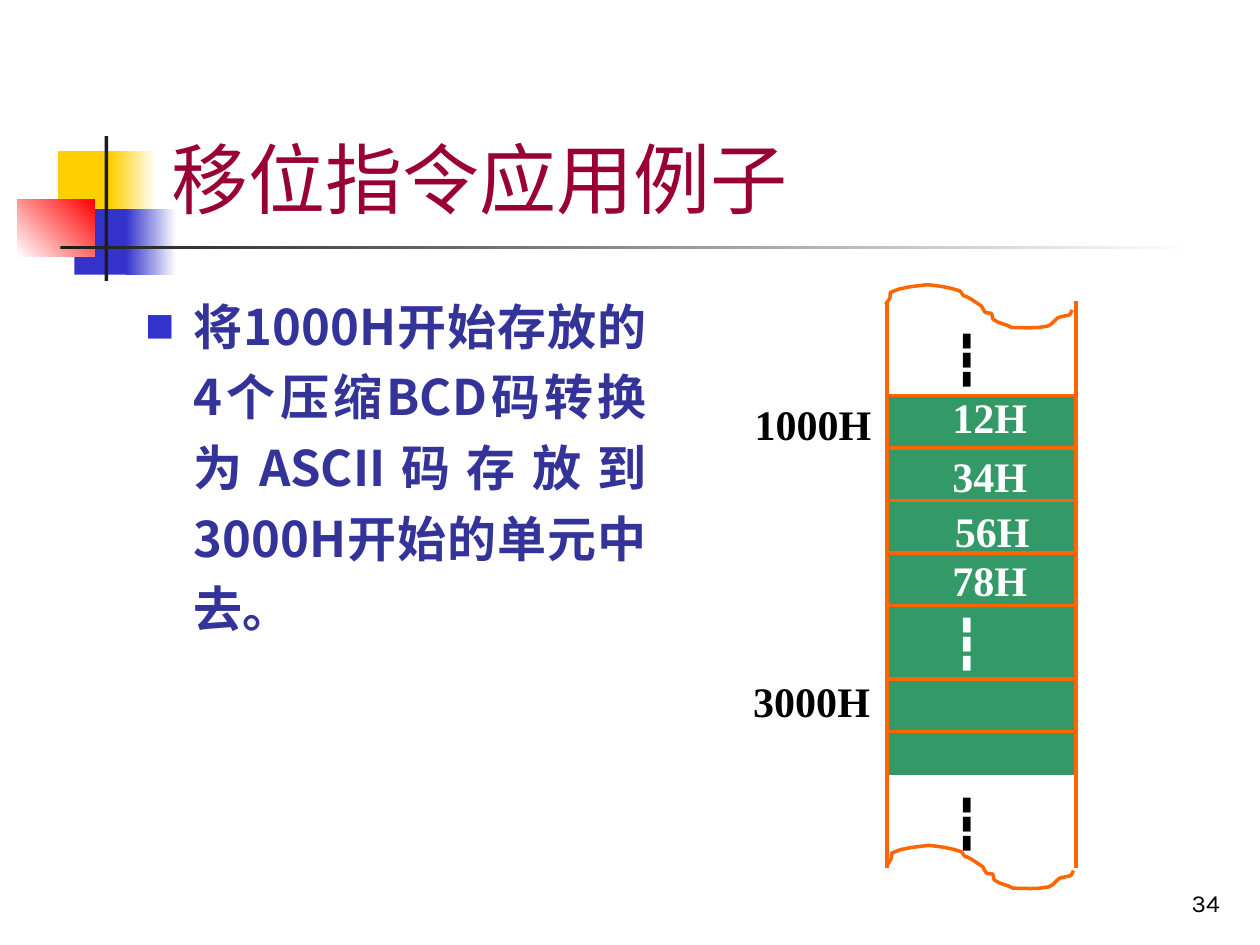
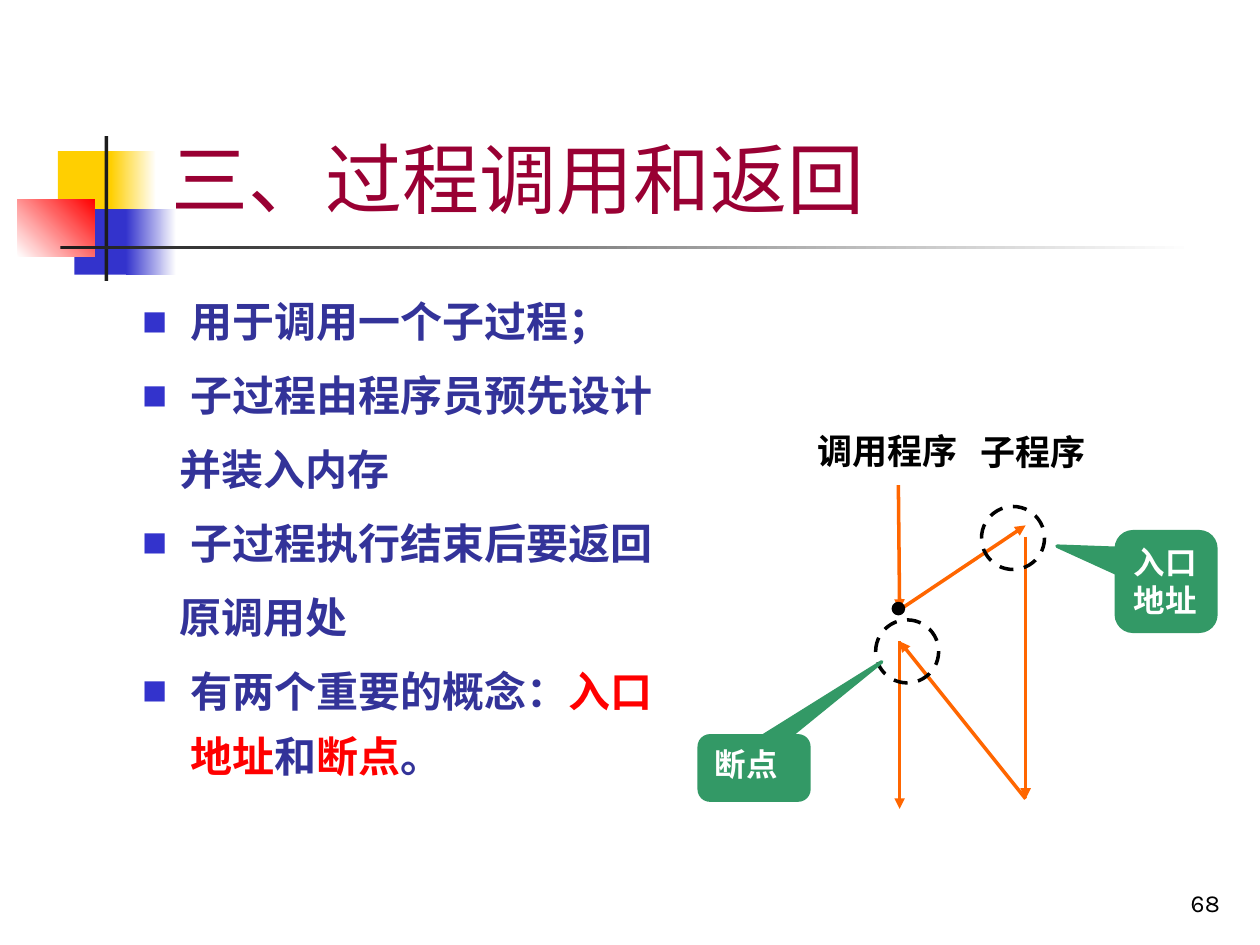
from lxml.etree import SubElement
from pptx import Presentation
from pptx.dml.color import RGBColor
from pptx.enum.dml import MSO_LINE
from pptx.enum.shapes import MSO_CONNECTOR, MSO_SHAPE
from pptx.enum.text import MSO_ANCHOR, PP_ALIGN
from pptx.oxml.ns import qn
from pptx.util import Inches, Pt

C = {"yellow": "FFCF01", "blue": "3333CC", "red": "FF0000", "dark": "1C1C1C",
     "title": "990033", "body": "333399", "green": "339966", "orange": "FF6600",
     "black": "000000", "white": "FFFFFF"}
CJK = "Noto Sans CJK SC"

BANDS = [
    ((0.46, 1.2, 0.48, 0.52), "yellow", None, 0),
    ((0.88, 1.2, 0.36, 0.52), "yellow", "white", 0),
    ((0.59, 1.66, 0.46, 0.52), "blue", None, 0),
    ((1, 1.66, 0.4, 0.52), "blue", "white", 0),
    ((0.14, 1.58, 0.61, 0.46), "white", "red", 45),
    ((0.83, 1.08, 0.03, 1.15), "dark", None, 0),
    ((0.48, 1.95, 9, 0.03), "dark", "white", 0),
]

TITLE = {"size": 44, "name": "Karla", "color": "title"}
NUMBER = {"size": 14, "name": "Karla", "color": "black"}
TASK = {"size": 28, "name": CJK, "color": "body", "bold": True}
POINT = {"size": 24, "name": "Karla", "color": "body", "bold": True}
CELL = {"size": 24, "name": "Times New Roman", "color": "white", "bold": True}
DOTS = {**CELL, "size": 28}
NOTE = {**CELL, "size": 18}
LABEL = {"size": 20, "name": "Arial", "color": "black", "bold": True}

TASK_TEXT = "将1000H开始存放的4个压缩BCD码转换为ASCII码存放到3000H开始的单元中去。"
POINTS = [
    (True, [("用于调用一个子过程；", "body")]),
    (True, [("子过程由程序员预先设计", "body")]),
    (False, [("并装入内存", "body")]),
    (True, [("子过程执行结束后要返回", "body")]),
    (False, [("原调用处", "body")]),
    (True, [("有两个重要的概念：", "body"), ("入口地址", "red"), ("和", "body"),
            ("断点", "red"), ("。", "body")]),
]

LEFT, RIGHT, TOP, BOTTOM = 7.04, 8.54, 2.39, 6.89
FIRST, STEP, TARGET = 3.14, 5 / 12, 5.39
BYTES = [("12H", 7.46, 3.06), ("34H", 7.46, 3.53), ("56H", 7.48, 3.96), ("78H", 7.46, 4.35)]
ADDRESSES = [("1000H", 5.89, 3.11), ("3000H", 5.88, 5.31)]
ELLIPSES = [(2.56, "black"), (4.81, "white"), (6.24, "black")]
TEARS = [(7.03, 2.26), (7.04, 6.71)]
TEAR_START = (0, 16)
TEAR_CURVES = [
    (1, 14, 2, 13, 3, 11), (4, 10, 3, 7, 4, 6), (11, 2, 25, 1, 33, 0),
    (43, 1, 50, 2, 59, 5), (65, 13, 59, 6, 67, 11), (70, 13, 76, 17, 76, 17),
    (77, 19, 78, 21, 79, 22), (81, 23, 83, 22, 84, 23), (85, 25, 84, 27, 86, 28),
    (90, 31, 95, 31, 100, 34), (109, 34, 119, 35, 128, 33),
    (132, 32, 134, 28, 137, 26), (148, 23, 145, 26, 148, 20),
]

HEADS = [("调用程序", (6.39, 3.36, 1.5, 0.43)), ("子程序", (7.68, 3.37, 1.26, 0.43))]
CALL, ENTRY, BREAK, RETURN = (7.14, 4.84), (8.14, 4.17), (7.14, 5.09), (8.14, 6.34)
FLOW = [((7.13, 3.85), CALL), (CALL, ENTRY), ((8.14, 4.26), RETURN),
        (RETURN, BREAK), (BREAK, (7.14, 6.42))]
RINGS = [(6.95, 4.92), (7.79, 4.02)]
CALLOUTS = [
    ("断点", (5.55, 5.84, 0.87, 0.51), (1.165, -1.653, 0.167)),
    ("入口地址", (8.86, 4.22, 0.79, 0.79), (-1.096, -0.355, 0.167)),
]


def rgb(name):
    return RGBColor.from_string(C[name])


def box(at):
    return [Inches(v) for v in at]


def add_run(p, text, style):
    r = p.add_run()
    r.text = text
    for key, value in style.items():
        if key == "color":
            r.font.color.rgb = rgb(value)
        else:
            setattr(r.font, key, Pt(value) if key == "size" else value)
    SubElement(r.font._element, qn("a:ea"), typeface=CJK)


def space(p, **percents):
    pPr = p._p.get_or_add_pPr()
    for tag, value in percents.items():
        SubElement(SubElement(pPr, qn(f"a:{tag}")), qn("a:spcPct"), val=str(value * 1000))


def list_format(p, bullet, **percents):
    pPr = p._p.get_or_add_pPr()
    margin, indent = (0.38, -0.38) if bullet else (0.3, 0)
    pPr.set("marL", str(Inches(margin)))
    pPr.set("indent", str(Inches(indent)))
    space(p, **percents)
    if bullet:
        SubElement(SubElement(pPr, qn("a:buClr")), qn("a:srgbClr"), val=C["blue"])
        SubElement(pPr, qn("a:buSzPct"), val="60000")
        SubElement(pPr, qn("a:buFont"), typeface=CJK)
        SubElement(pPr, qn("a:buChar"), char="■")


def add_frame(s, at, anchor=MSO_ANCHOR.TOP):
    tf = s.shapes.add_textbox(*box(at)).text_frame
    tf.word_wrap, tf.vertical_anchor = True, anchor
    return tf


def add_text(s, at, text, style, anchor=MSO_ANCHOR.TOP, align=PP_ALIGN.LEFT, before=0):
    p = add_frame(s, at, anchor).paragraphs[0]
    p.alignment = align
    if before:
        space(p, spcBef=before)
    add_run(p, text, style)


def paint(sp, fill=None, line=None):
    sp.shadow.inherit = False
    if fill:
        sp.fill.solid()
        sp.fill.fore_color.rgb = rgb(fill)
    else:
        sp.fill.background()
    if line:
        sp.line.color.rgb, sp.line.width = rgb(line), Pt(2)
    else:
        sp.line.fill.background()


def add_shape(s, kind, at, fill=None, line=None):
    sp = s.shapes.add_shape(kind, *box(at))
    paint(sp, fill, line)
    return sp


def add_line(s, start, end, arrow=False):
    line = s.shapes.add_connector(MSO_CONNECTOR.STRAIGHT, *box(start + end))
    line.line.color.rgb, line.line.width = rgb("orange"), Pt(2)
    if arrow:
        SubElement(line.line._get_or_add_ln(), qn("a:tailEnd"), type="triangle")
    SubElement(line._element.spPr, qn("a:effectLst"))


def add_tear(s, left, top):
    points, here = [], TEAR_START
    for curve in TEAR_CURVES:
        knots = [here, curve[:2], curve[2:4], curve[4:]]
        for t in (0.25, 0.5, 0.75, 1):
            weights = ((1 - t) ** 3, 3 * t * (1 - t) ** 2, 3 * t * t * (1 - t), t ** 3)
            points.append([sum(w * k[i] for w, k in zip(weights, knots)) for i in (0, 1)])
        here = curve[4:]

    def place(x, y):
        return Inches(left + x / 100), Inches(top + y / 100)

    builder = s.shapes.build_freeform(*place(*TEAR_START))
    builder.add_line_segments([place(*point) for point in points], close=False)
    paint(builder.convert_to_shape(), line="orange")


def new_slide(prs, title, number):
    s = prs.slides.add_slide(prs.slide_layouts[6])
    for at, color, end, angle in BANDS:
        sp = add_shape(s, MSO_SHAPE.RECTANGLE, at, color)
        if end:
            sp.fill.gradient()
            sp.fill.gradient_angle = angle
            for stop, name in zip(sp.fill.gradient_stops, (color, end)):
                stop.color.rgb = rgb(name)
    add_text(s, (7.7, 6.83, 2.08, 0.5), number, NUMBER, MSO_ANCHOR.BOTTOM, PP_ALIGN.RIGHT)
    add_text(s, (1.26, 0.23, 8.52, 1.6), title, TITLE, MSO_ANCHOR.BOTTOM)
    return s


def memory_slide(prs):
    s = new_slide(prs, "移位指令应用例子", "34")
    p = add_frame(s, (1.06, 2.21, 4.17, 4.54)).paragraphs[0]
    p.alignment = PP_ALIGN.JUSTIFY
    list_format(p, True, lnSpc=120, spcBef=15, spcAft=20)
    add_run(p, TASK_TEXT, TASK)
    add_shape(s, MSO_SHAPE.RECTANGLE, (LEFT, FIRST, RIGHT - LEFT, 3), "green", "green")
    for x in (LEFT, RIGHT):
        add_line(s, (x, TOP), (x, BOTTOM))
    for y in [FIRST + STEP * i for i in range(5)] + [TARGET, TARGET + STEP]:
        add_line(s, (LEFT, y), (RIGHT, y))
    for left, top in TEARS:
        add_tear(s, left, top)
    for top, color in ELLIPSES:
        add_text(s, (7.46, top, 0.75, 0.57), "┇", {**DOTS, "color": color}, before=30)
    for text, left, top in BYTES:
        add_text(s, (left, top, 0.83, 0.5), text, CELL, before=50)
    for text, left, top in ADDRESSES:
        add_text(s, (left, top, 1.33, 0.5), text, {**CELL, "color": "black"}, before=50)


def call_slide(prs):
    s = new_slide(prs, "三、过程调用和返回", "68")
    tf = add_frame(s, (1.03, 2.18, 4.49, 4.25))
    for i, (bullet, runs) in enumerate(POINTS):
        p = tf.add_paragraph() if i else tf.paragraphs[0]
        list_format(p, bullet, lnSpc=130, spcBef=15, spcAft=5)
        for text, color in runs:
            add_run(p, text, {**POINT, "color": color})
    for text, at in HEADS:
        add_text(s, at, text, LABEL)
    for start, end in FLOW:
        add_line(s, start, end, arrow=True)
    for left, top in RINGS:
        ring = add_shape(s, MSO_SHAPE.OVAL, (left, top, 0.5, 0.5), line="black")
        ring.line.dash_style = MSO_LINE.DASH
    for text, at, pointer in CALLOUTS:
        sp = add_shape(s, MSO_SHAPE.ROUNDED_RECTANGULAR_CALLOUT, at, "green", "green")
        for i, value in enumerate(pointer):
            sp.adjustments[i] = value
        tf = sp.text_frame
        tf.word_wrap, tf.vertical_anchor = True, MSO_ANCHOR.TOP
        tf.paragraphs[0].alignment = PP_ALIGN.LEFT
        add_run(tf.paragraphs[0], text, NOTE)
    add_shape(s, MSO_SHAPE.OVAL, (7.09, 4.79, 0.08, 0.08), "black", "black")


def main():
    prs = Presentation()
    prs.slide_width, prs.slide_height = Inches(10), Inches(7.5)
    memory_slide(prs)
    call_slide(prs)
    prs.save("out.pptx")


if __name__ == "__main__":
    main()
